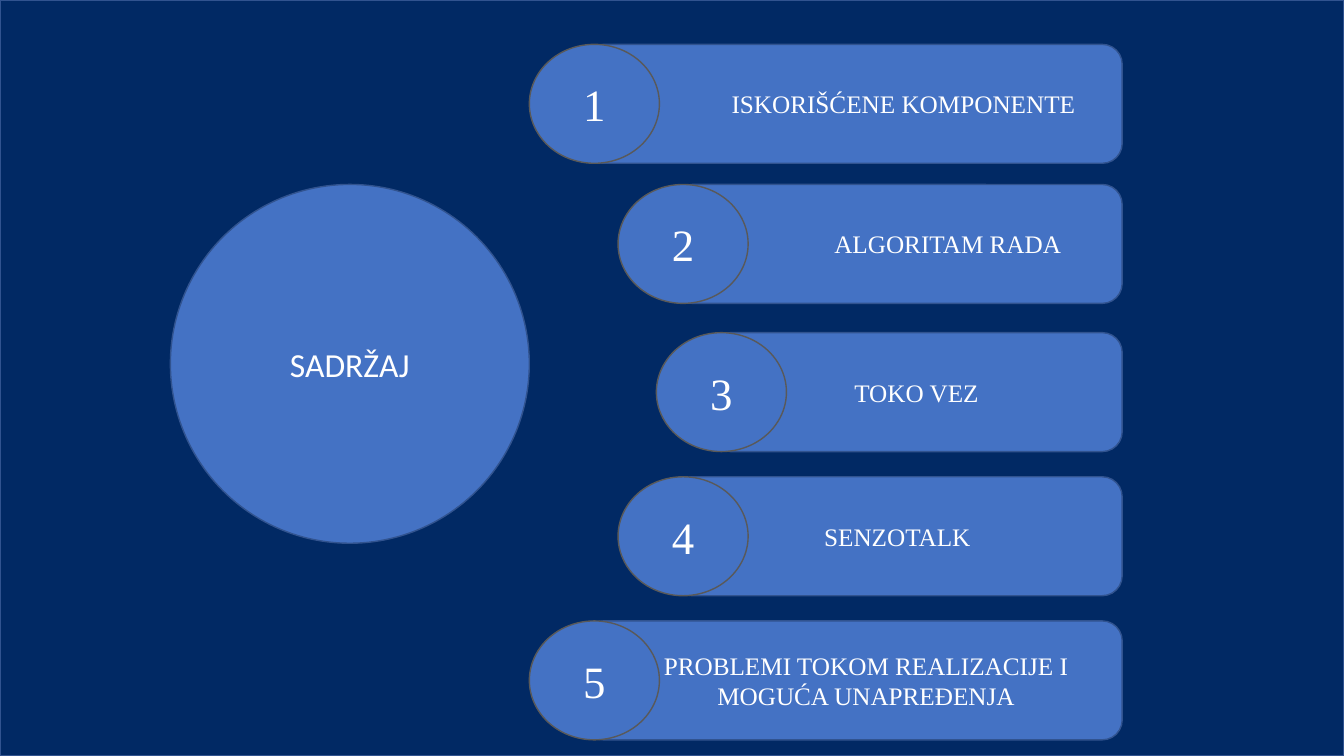
from pptx import Presentation
from pptx import util as u
from pptx.dml import color
from pptx.enum import shapes, text

COLORS = {"navy": "012964", "blue": "4472C4", "edge": "31538F",
          "ring": "595959", "white": "FFFFFF"}
SERIF = "Times New Roman"
ROW_HEIGHT = 1.18
BADGE_WIDTH = 1.29
BAR_OFFSET = 0.54
RIGHT_EDGE = 11.13
ITEMS = [
    ("ISKORIŠĆENE KOMPONENTE", 5.25, 0.44, 1.1, 0.1),
    ("ALGORITAM RADA", 6.13, 1.83, 1.1, 0.1),
    ("TOKO VEZ", 6.51, 3.3, 0.1, 0.1),
    ("SENZOTALK", 6.13, 4.73, 0.1, 0.1),
    ("PROBLEMI TOKOM REALIZACIJE I MOGUĆA UNAPREĐENJA", 5.25, 6.16, 0.56, 0.3),
]


def rgb(name):
    """Return the named palette colour."""
    return color.RGBColor.from_string(COLORS[name])


def add_panel(s, kind, box, fill="blue", line="edge"):
    """Add a flat filled shape in the box and return it."""
    sp = s.shapes.add_shape(kind, *map(u.Inches, box))
    sp.shadow.inherit = False
    sp.fill.solid()
    sp.fill.fore_color.rgb = rgb(fill)
    sp.line.color.rgb = rgb(line)
    sp.line.width = u.Pt(1)
    return sp


def write(sp, words, size, font, left=0.1, right=0.1):
    """Write centred white text in the shape between its side insets."""
    tf = sp.text_frame
    tf.text = words
    tf.word_wrap = True
    tf.vertical_anchor = text.MSO_ANCHOR.MIDDLE
    tf.margin_left, tf.margin_right = u.Inches(left), u.Inches(right)
    p = tf.paragraphs[0]
    p.alignment = text.PP_ALIGN.CENTER
    r = p.runs[0]
    r.font.size = u.Pt(size)
    r.font.name = font
    r.font.color.rgb = rgb("white")


def add_title(s, box):
    """Add the title circle in the box."""
    sp = add_panel(s, shapes.MSO_SHAPE.OVAL, box)
    write(sp, "SADRŽAJ", 24, "Calibri")


def add_item(s, number, label, box, left, right):
    """Add one agenda row: a bar with its numbered badge at the left."""
    x, y, w, h = box
    bar = add_panel(s, shapes.MSO_SHAPE.ROUNDED_RECTANGLE,
                    (x + BAR_OFFSET, y, w - BAR_OFFSET, h))
    write(bar, label, 18, SERIF, left, right)
    badge = add_panel(s, shapes.MSO_SHAPE.OVAL, (x, y, BADGE_WIDTH, h), line="ring")
    write(badge, str(number), 32, SERIF)


def add_agenda_slide(prs):
    """Add the agenda slide with its background, title and rows."""
    s = prs.slides.add_slide(prs.slide_layouts[6])
    add_panel(s, shapes.MSO_SHAPE.RECTANGLE, (0, 0, 13.33, 7.5), fill="navy")
    add_title(s, (1.69, 1.83, 3.56, 3.56))
    for number, (label, x, y, left, right) in enumerate(ITEMS, 1):
        add_item(s, number, label, (x, y, RIGHT_EDGE - x, ROW_HEIGHT), left, right)


def main():
    """Build the presentation and save it."""
    prs = Presentation()
    prs.slide_width, prs.slide_height = u.Inches(13.33), u.Inches(7.5)
    add_agenda_slide(prs)
    prs.save("out.pptx")


if __name__ == "__main__":
    main()
